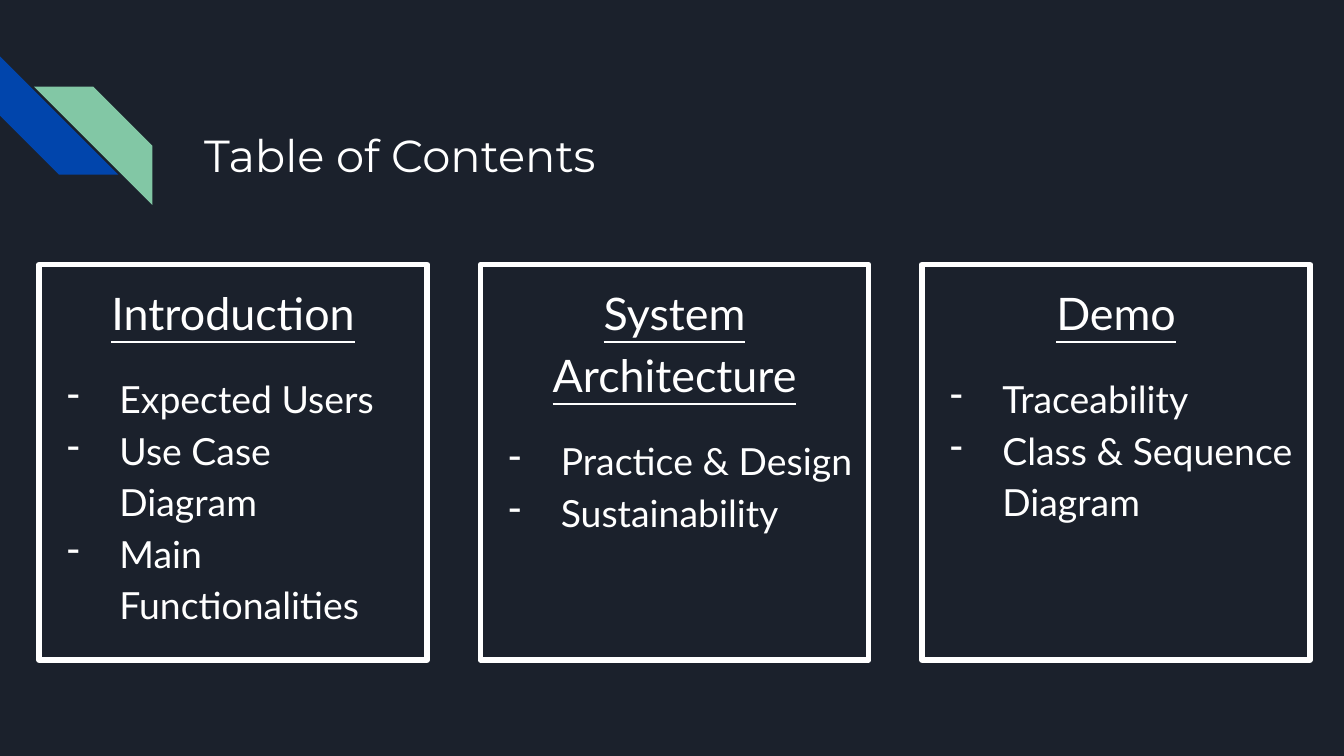
"""Build a table-of-contents slide with three framed columns."""
from dataclasses import dataclass

from lxml import etree
from pptx import Presentation
from pptx import util as u
from pptx.dml.color import RGBColor
from pptx.enum import shapes, text
from pptx.oxml.ns import qn

COLORS = {"background": "1B212C", "blue": "0145AC", "green": "82C7A5", "white": "FFFFFF"}
INSET = 7.2
STRIPE_SIZE = 63.4
COLUMN_LEFT, COLUMN_TOP, COLUMN_STEP = 20.9, 141.8, 236.5
COLUMN_WIDTH, COLUMN_HEIGHT = 208, 211.7


@dataclass(frozen=True)
class Stripe:
    left: float
    top: float
    rotation: float
    color: str


@dataclass(frozen=True)
class Column:
    heading: str
    items: tuple[str, ...]


STRIPES = (Stripe(0, 30.2, 270, "blue"), Stripe(18.2, 46.4, 90, "green"))
COLUMNS = (
    Column("Introduction", ("Expected Users", "Use Case Diagram", "Main Functionalities")),
    Column("System Architecture", ("Practice & Design", "Sustainability")),
    Column("Demo", ("Traceability", "Class & Sequence Diagram")),
)


def rgb(name: str) -> RGBColor:
    return RGBColor.from_string(COLORS[name])


def set_frame(frame, anchor, bottom: float = INSET) -> None:
    frame.word_wrap = True
    frame.auto_size = text.MSO_AUTO_SIZE.NONE
    frame.vertical_anchor = anchor
    frame.margin_left = frame.margin_right = frame.margin_top = u.Pt(INSET)
    frame.margin_bottom = u.Pt(bottom)


def add_bullet(para) -> None:
    properties = para._p.get_or_add_pPr()
    properties.set("marL", str(u.Pt(36)))
    properties.set("indent", str(u.Pt(-28)))
    color = etree.SubElement(properties, qn("a:buClr"))
    etree.SubElement(color, qn("a:srgbClr"), val=COLORS["white"])
    etree.SubElement(properties, qn("a:buChar"), char="-")


def write(para, words: str, *, size: float, font: str = "Lato", underline: bool = False,
          align=text.PP_ALIGN.LEFT, spacing: float = 1.15, before: float = 0,
          bullet: bool = False) -> None:
    para.alignment = align
    para.line_spacing = spacing
    para.space_before = u.Pt(before)
    span = para.add_run()
    span.text = words
    span.font.name = font
    span.font.size = u.Pt(size)
    span.font.underline = underline
    span.font.color.rgb = rgb("white")
    if bullet:
        add_bullet(para)


def add_stripe(page, stripe: Stripe) -> None:
    shape = page.shapes.add_shape(
        shapes.MSO_SHAPE.DIAGONAL_STRIPE, u.Pt(stripe.left), u.Pt(stripe.top),
        u.Pt(STRIPE_SIZE), u.Pt(STRIPE_SIZE))
    shape.rotation = stripe.rotation
    shape.shadow.inherit = False
    shape.fill.solid()
    shape.fill.fore_color.rgb = rgb(stripe.color)
    shape.line.fill.background()


def add_column(page, column: Column, left: float) -> None:
    box = page.shapes.add_shape(
        shapes.MSO_SHAPE.RECTANGLE, u.Pt(left), u.Pt(COLUMN_TOP),
        u.Pt(COLUMN_WIDTH), u.Pt(COLUMN_HEIGHT))
    box.shadow.inherit = False
    box.fill.background()
    box.line.color.rgb = rgb("white")
    box.line.width = u.Pt(3)
    frame = box.text_frame
    set_frame(frame, text.MSO_ANCHOR.TOP)
    write(frame.paragraphs[0], column.heading, size=24, underline=True,
          align=text.PP_ALIGN.CENTER)
    for index, item in enumerate(column.items):
        write(frame.add_paragraph(), item, size=20, before=0 if index else 16, bullet=True)


def set_title(page, words: str) -> None:
    title = page.shapes.title
    title.left, title.top = u.Pt(102.2), u.Pt(31)
    title.width, title.height = u.Pt(554.4), u.Pt(72)
    set_frame(title.text_frame, text.MSO_ANCHOR.BOTTOM, bottom=6)
    write(title.text_frame.paragraphs[0], words, size=24, font="Montserrat", spacing=1.0)


def main() -> None:
    deck = Presentation()
    deck.slide_width, deck.slide_height = u.Pt(720), u.Pt(405)
    page = deck.slides.add_slide(deck.slide_layouts[5])
    page.background.fill.solid()
    page.background.fill.fore_color.rgb = rgb("background")
    for stripe in STRIPES:
        add_stripe(page, stripe)
    set_title(page, "Table of Contents")
    for index, column in enumerate(COLUMNS):
        add_column(page, column, COLUMN_LEFT + index * COLUMN_STEP)
    deck.save("out.pptx")


if __name__ == "__main__":
    main()
